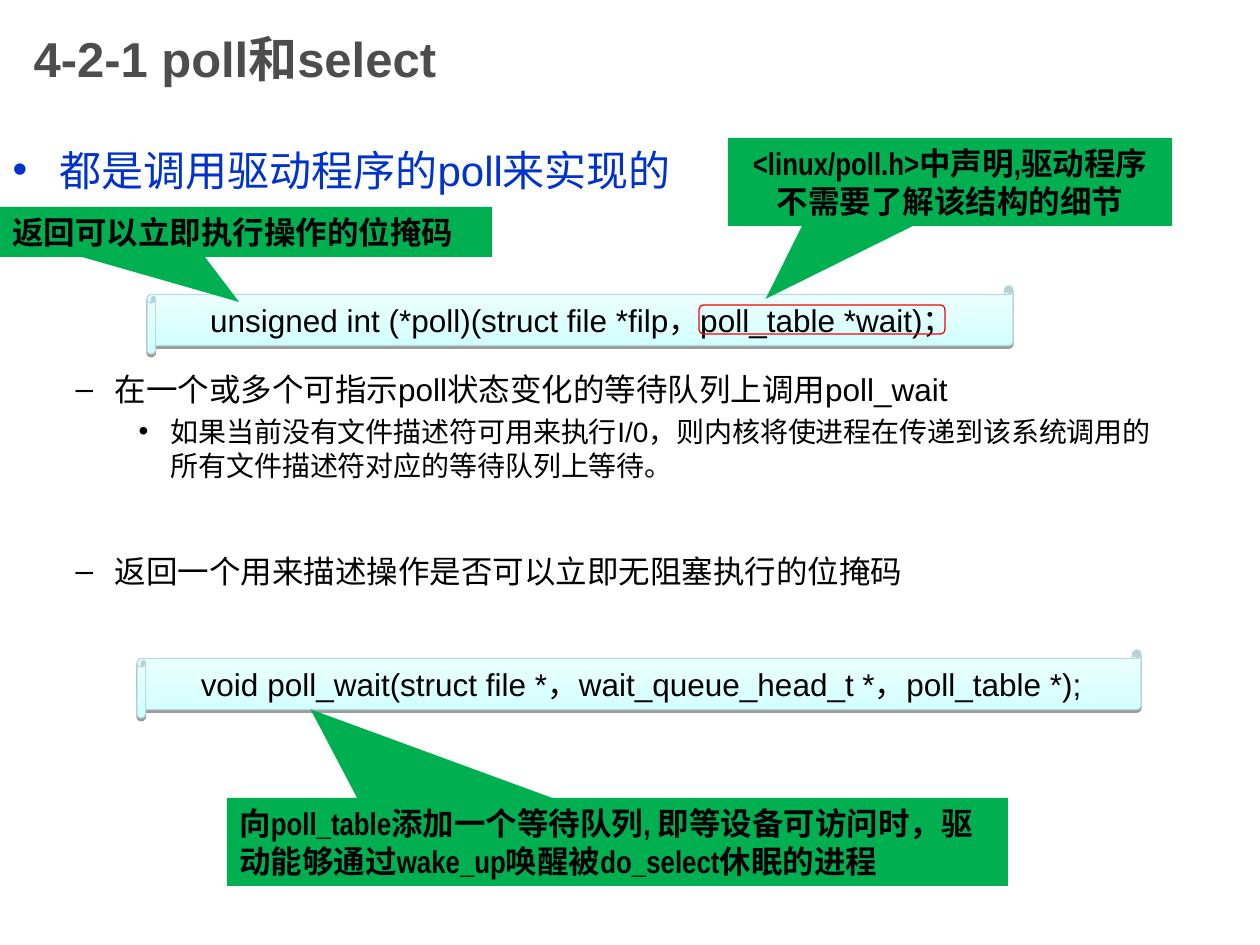
from dataclasses import dataclass

from lxml import etree
from pptx import Presentation
from pptx.dml.color import RGBColor
from pptx.enum.shapes import MSO_SHAPE
from pptx.enum.text import MSO_ANCHOR, MSO_AUTO_SIZE, PP_ALIGN
from pptx.oxml.ns import qn
from pptx.util import Emu, Pt

SCROLL = MSO_SHAPE.HORIZONTAL_SCROLL
CALLOUT = MSO_SHAPE.RECTANGULAR_CALLOUT
ROUNDED = MSO_SHAPE.ROUNDED_RECTANGLE
LEFT, CENTER = PP_ALIGN.LEFT, PP_ALIGN.CENTER
MIDDLE, TOP = MSO_ANCHOR.MIDDLE, MSO_ANCHOR.TOP
NO_FIT = MSO_AUTO_SIZE.NONE
EMU_PER_PX = 914400 / 126
BLACK = "000000"


@dataclass(frozen=True)
class Box:
    left: int
    top: int
    width: int
    height: int


@dataclass(frozen=True)
class Point:
    text: str
    level: int
    space_before: float
    color: str = BLACK


@dataclass(frozen=True)
class Prototype:
    box: Box
    code: str


@dataclass(frozen=True)
class Note:
    box: Box
    tip: tuple[float, float]
    text: str
    align: PP_ALIGN = LEFT


@dataclass(frozen=True)
class Level:
    size: int
    margin: int
    hanging: int


LEVELS = (Level(24, 47, 47), Level(18, 102, 39), Level(16, 158, 32))

POINTS = (
    Point("都是调用驱动程序的poll来实现的", 0, 6, "0033CC"),
    Point("在一个或多个可指示poll状态变化的等待队列上调用poll_wait", 1, 100),
    Point("如果当前没有文件描述符可用来执行I/0，则内核将使进程在传递到该系统调用的"
          "所有文件描述符对应的等待队列上等待。", 2, 4),
    Point("返回一个用来描述操作是否可以立即无阻塞执行的位掩码", 1, 40),
)

POLL = Prototype(Box(147, 286, 866, 68),
                 "unsigned int (*poll)(struct file *filp，poll_table *wait)；")
POLL_WAIT = Prototype(Box(137, 650, 1004, 68),
                      "void poll_wait(struct file *，wait_queue_head_t *，poll_table *);")
WAIT_ARGUMENT = Box(699, 305, 246, 29)

HEADER_NOTE = Note(Box(728, 138, 444, 88), (-0.415, 1.329),
                   "<linux/poll.h>中声明,驱动程序不需要了解该结构的细节", CENTER)
QUEUE_NOTE = Note(Box(227, 798, 781, 88), (-0.393, -1.508),
                  "向poll_table添加一个等待队列, 即等设备可访问时，"
                  "驱动能够通过wake_up唤醒被do_select休眠的进程")
MASK_NOTE = Note(Box(0, 207, 492, 50), (-0.014, 1.4), "返回可以立即执行操作的位掩码")


def px(length: int) -> Emu:
    """Turn pixels into EMU."""
    return Emu(round(length * EMU_PER_PX))


def rgb(color: str) -> RGBColor:
    """Turn a hex string into a colour."""
    return RGBColor.from_string(color)


def place(shape, box: Box) -> None:
    """Move and size a placeholder."""
    shape.left, shape.top = px(box.left), px(box.top)
    shape.width, shape.height = px(box.width), px(box.height)


def prepare(frame, anchor) -> None:
    """Wrap the text at a fixed size."""
    frame.word_wrap = True
    frame.auto_size = NO_FIT
    frame.vertical_anchor = anchor


def write(paragraph, text: str, size: int, color: str, font: str = "Arial",
          bold: bool = False, align: PP_ALIGN = LEFT) -> None:
    """Add one formatted run to a paragraph."""
    paragraph.alignment = align
    run = paragraph.add_run()
    run.text = text
    run.font.size, run.font.name, run.font.bold = Pt(size), font, bold
    run.font.color.rgb = rgb(color)


def add_shape(slide, kind, box: Box, adjustments):
    """Add a preset shape without a theme shadow."""
    shape = slide.shapes.add_shape(
        kind, px(box.left), px(box.top), px(box.width), px(box.height))
    for index, value in enumerate(adjustments):
        shape.adjustments[index] = value
    shape.shadow.inherit = False
    prepare(shape.text_frame, MIDDLE)
    return shape


def outline(shape, color: str) -> None:
    """Give a shape a thin line."""
    shape.line.color.rgb = rgb(color)
    shape.line.width = Pt(0.75)


def drop_shadow(shape) -> None:
    """Cast a sharp shadow straight down."""
    effects = shape.element.spPr.find(qn("a:effectLst"))
    shadow = etree.SubElement(effects, qn("a:outerShdw"), blurRad="0",
                              dist=str(Pt(1.6)), dir="5400000", rotWithShape="0")
    color = etree.SubElement(shadow, qn("a:srgbClr"), val=BLACK)
    etree.SubElement(color, qn("a:alpha"), val="38000")


def draw_prototype(slide, prototype: Prototype) -> None:
    """Draw a function prototype on a scroll."""
    scroll = add_shape(slide, SCROLL, prototype.box, (0.125,))
    scroll.fill.gradient()
    scroll.fill.gradient_angle = 90
    for stop, color in zip(scroll.fill.gradient_stops, ("CFFFFF", "F0FFFF")):
        stop.color.rgb = rgb(color)
    outline(scroll, "B6DCDF")
    drop_shadow(scroll)
    write(scroll.text_frame.paragraphs[0], prototype.code, 18, BLACK, align=CENTER)


def draw_note(slide, note: Note) -> None:
    """Draw a green callout."""
    callout = add_shape(slide, CALLOUT, note.box, note.tip)
    callout.fill.solid()
    callout.fill.fore_color.rgb = rgb("00B050")
    callout.line.fill.background()
    write(callout.text_frame.paragraphs[0], note.text, 18, BLACK,
          "Arial Narrow", True, note.align)


def draw_points(body, points: tuple[Point, ...]) -> None:
    """Fill the body with the bulleted points."""
    frame = body.text_frame
    prepare(frame, TOP)
    for index, point in enumerate(points):
        paragraph = frame.add_paragraph() if index else frame.paragraphs[0]
        level = LEVELS[point.level]
        paragraph.level = point.level
        paragraph.space_before = Pt(point.space_before)
        write(paragraph, point.text, level.size, point.color)
        properties = paragraph._p.get_or_add_pPr()
        properties.set("marL", str(px(level.margin)))
        properties.set("indent", str(px(-level.hanging)))


def main() -> None:
    """Build and save the slide."""
    deck = Presentation()
    deck.slide_width, deck.slide_height = px(1260), px(945)
    slide = deck.slides.add_slide(deck.slide_layouts[1])
    title, body = slide.placeholders
    place(title, Box(21, 0, 945, 116))
    prepare(title.text_frame, MIDDLE)
    write(title.text_frame.paragraphs[0], "4-2-1 poll和select", 28, "4D4D4D", bold=True)
    place(body, Box(0, 138, 1191, 651))
    draw_points(body, POINTS)
    draw_prototype(slide, POLL)
    argument_frame = add_shape(slide, ROUNDED, WAIT_ARGUMENT, (0.167,))
    argument_frame.fill.background()
    outline(argument_frame, "FF0000")
    draw_note(slide, HEADER_NOTE)
    draw_prototype(slide, POLL_WAIT)
    draw_note(slide, QUEUE_NOTE)
    draw_note(slide, MASK_NOTE)
    deck.save("out.pptx")


if __name__ == "__main__":
    main()
